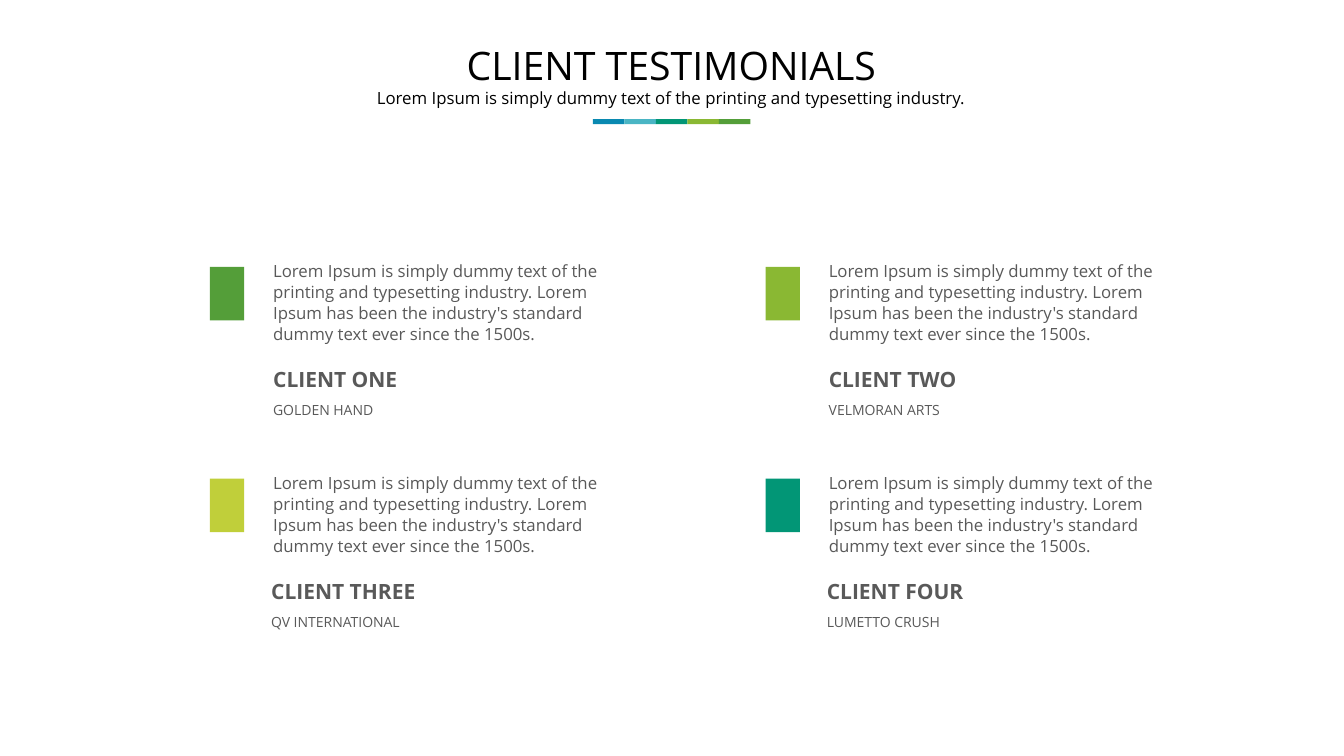
from dataclasses import dataclass
from typing import NamedTuple

from pptx import Presentation
from pptx.dml.color import RGBColor
from pptx.enum import shapes, text
from pptx.util import Pt


@dataclass(frozen=True)
class Theme:
    font: str = "Open Sans"
    ink: str = "000000"
    grey: str = "595959"
    blue: str = "0989B1"
    aqua: str = "4AB5C4"
    teal: str = "029676"
    lime: str = "8AB833"
    green: str = "549E39"
    yellow: str = "C0CF3A"
    title_size: float = 28
    client_size: float = 15
    body_size: float = 12
    company_size: float = 10


THEME = Theme()


class Box(NamedTuple):
    left: float
    top: float
    width: float
    height: float

    def shifted(self, dx: float, dy: float) -> "Box":
        return self._replace(left=self.left + dx, top=self.top + dy)

    def in_points(self) -> list[Pt]:
        return [Pt(value) for value in self]


@dataclass(frozen=True)
class Style:
    size: float
    color: str = THEME.grey
    bold: bool = False
    centred: bool = False
    middle: bool = False
    line_spacing: float | None = None
    margin_x: float = 0
    margin_y: float = 0


@dataclass(frozen=True)
class Testimonial:
    client: str
    company: str
    color: str


TITLE = Style(THEME.title_size, THEME.ink, centred=True, middle=True, margin_x=7.2, margin_y=3.6)
SUBTITLE = Style(THEME.body_size, THEME.ink, centred=True, margin_x=7.2, margin_y=3.6)
QUOTE = Style(THEME.body_size, line_spacing=15)
CLIENT = Style(THEME.client_size, bold=True, middle=True)
COMPANY = Style(THEME.company_size, line_spacing=15)

QUOTE_TEXT = (
    "Lorem Ipsum is simply dummy text of the printing and typesetting industry. "
    "Lorem Ipsum has been the industry's standard dummy text ever since the 1500s."
)
TESTIMONIALS = (
    Testimonial("CLIENT ONE", "GOLDEN HAND", THEME.green),
    Testimonial("CLIENT TWO", "VELMORAN ARTS", THEME.lime),
    Testimonial("CLIENT THREE", "QV INTERNATIONAL", THEME.yellow),
    Testimonial("CLIENT FOUR", "LUMETTO CRUSH", THEME.teal),
)
COLUMNS = 2
COLUMN_PITCH, ROW_PITCH = 396.9, 151.3
LOWER_ROW_INDENT = -1.4

SWATCH_BOX = Box(150, 190.6, 24.5, 38.2)
QUOTE_BOX = Box(195.1, 185.8, 260.6, 54)
CLIENT_BOX = Box(195.1, 262.1, 126, 18)
COMPANY_BOX = Box(195.1, 283.7, 124.6, 18)

STRIPE_COLORS = (THEME.blue, THEME.aqua, THEME.teal, THEME.lime, THEME.green)
STRIPE_BOX = Box(423.5, 85, 22.5, 3.6)


def add_block(slide, box: Box, color: str) -> None:
    block = slide.shapes.add_shape(shapes.MSO_SHAPE.RECTANGLE, *box.in_points())
    block.shadow.inherit = False
    block.fill.solid()
    block.fill.fore_color.rgb = RGBColor.from_string(color)
    block.line.fill.background()


def add_text(slide, box: Box, wording: str, style: Style) -> None:
    frame = slide.shapes.add_textbox(*box.in_points()).text_frame
    paragraph = frame.paragraphs[0]
    run = paragraph.add_run()
    run.text = wording
    run.font.color.rgb = RGBColor.from_string(style.color)
    formats = {
        frame: {
            "word_wrap": True,
            "margin_left": Pt(style.margin_x),
            "margin_right": Pt(style.margin_x),
            "margin_top": Pt(style.margin_y),
            "margin_bottom": Pt(style.margin_y),
            "vertical_anchor": text.MSO_ANCHOR.MIDDLE if style.middle else text.MSO_ANCHOR.TOP,
        },
        paragraph: {
            "alignment": text.PP_ALIGN.CENTER if style.centred else text.PP_ALIGN.LEFT,
            "line_spacing": Pt(style.line_spacing) if style.line_spacing else None,
        },
        run.font: {"name": THEME.font, "size": Pt(style.size), "bold": style.bold},
    }
    for target, values in formats.items():
        for attribute, value in values.items():
            setattr(target, attribute, value)


def add_header(slide) -> None:
    add_text(slide, Box(195.1, 28.8, 568.8, 35.3), "CLIENT TESTIMONIALS", TITLE)
    add_text(
        slide,
        Box(236.9, 59, 485.3, 21.6),
        "Lorem Ipsum is simply dummy text of the printing and typesetting industry.",
        SUBTITLE,
    )
    for index, color in enumerate(STRIPE_COLORS):
        add_block(slide, STRIPE_BOX.shifted(index * STRIPE_BOX.width, 0), color)


def add_testimonial(slide, index: int, testimonial: Testimonial) -> None:
    row, column = divmod(index, COLUMNS)
    dx, dy = column * COLUMN_PITCH, row * ROW_PITCH
    name_dx = dx + row * LOWER_ROW_INDENT
    add_block(slide, SWATCH_BOX.shifted(dx, dy), testimonial.color)
    add_text(slide, QUOTE_BOX.shifted(dx, dy), QUOTE_TEXT, QUOTE)
    add_text(slide, CLIENT_BOX.shifted(name_dx, dy), testimonial.client, CLIENT)
    add_text(slide, COMPANY_BOX.shifted(name_dx, dy), testimonial.company, COMPANY)


def main() -> None:
    deck = Presentation()
    deck.slide_width, deck.slide_height = Pt(960), Pt(540)
    slide = deck.slides.add_slide(deck.slide_layouts[6])
    add_header(slide)
    for index, testimonial in enumerate(TESTIMONIALS):
        add_testimonial(slide, index, testimonial)
    deck.save("out.pptx")


if __name__ == "__main__":
    main()
